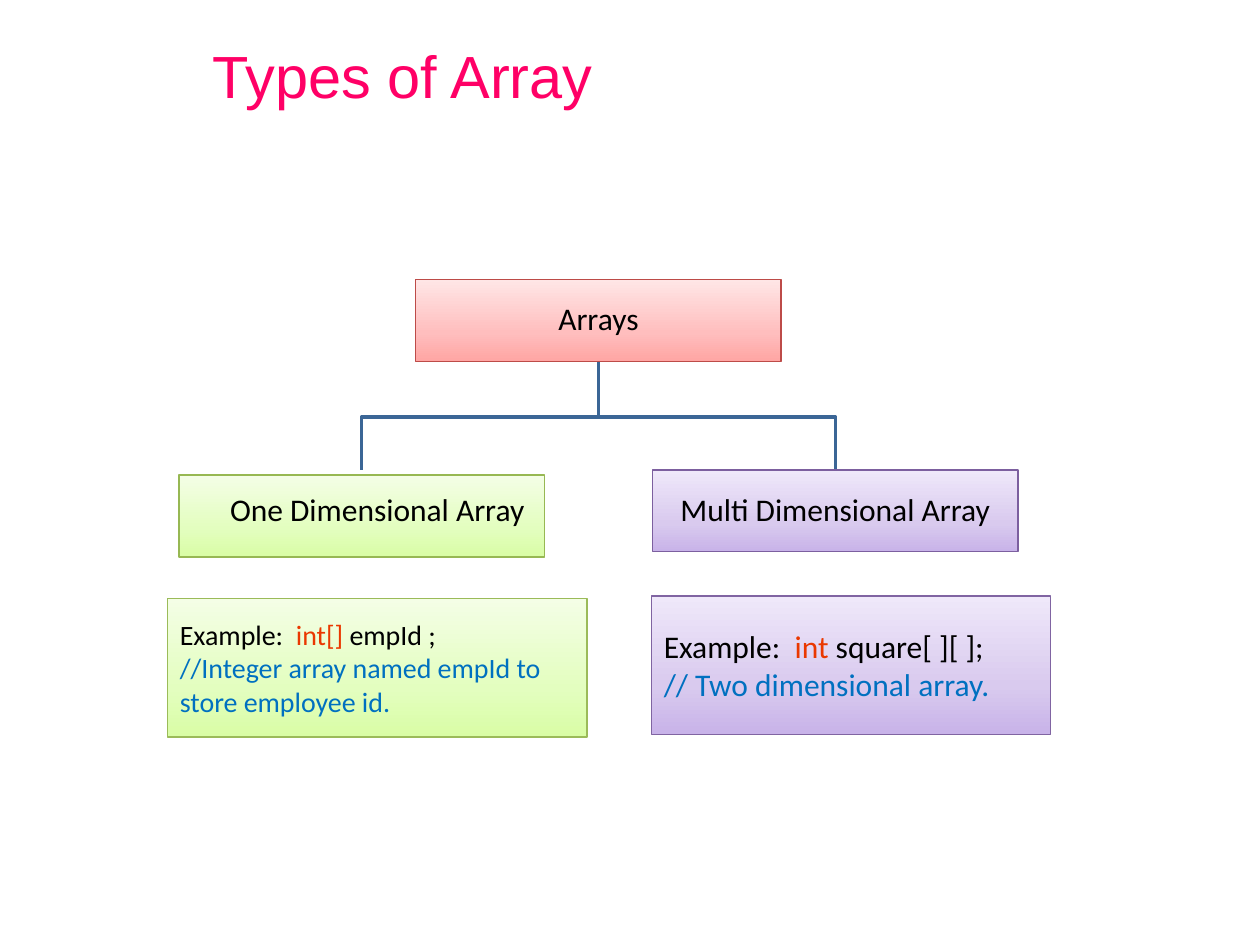
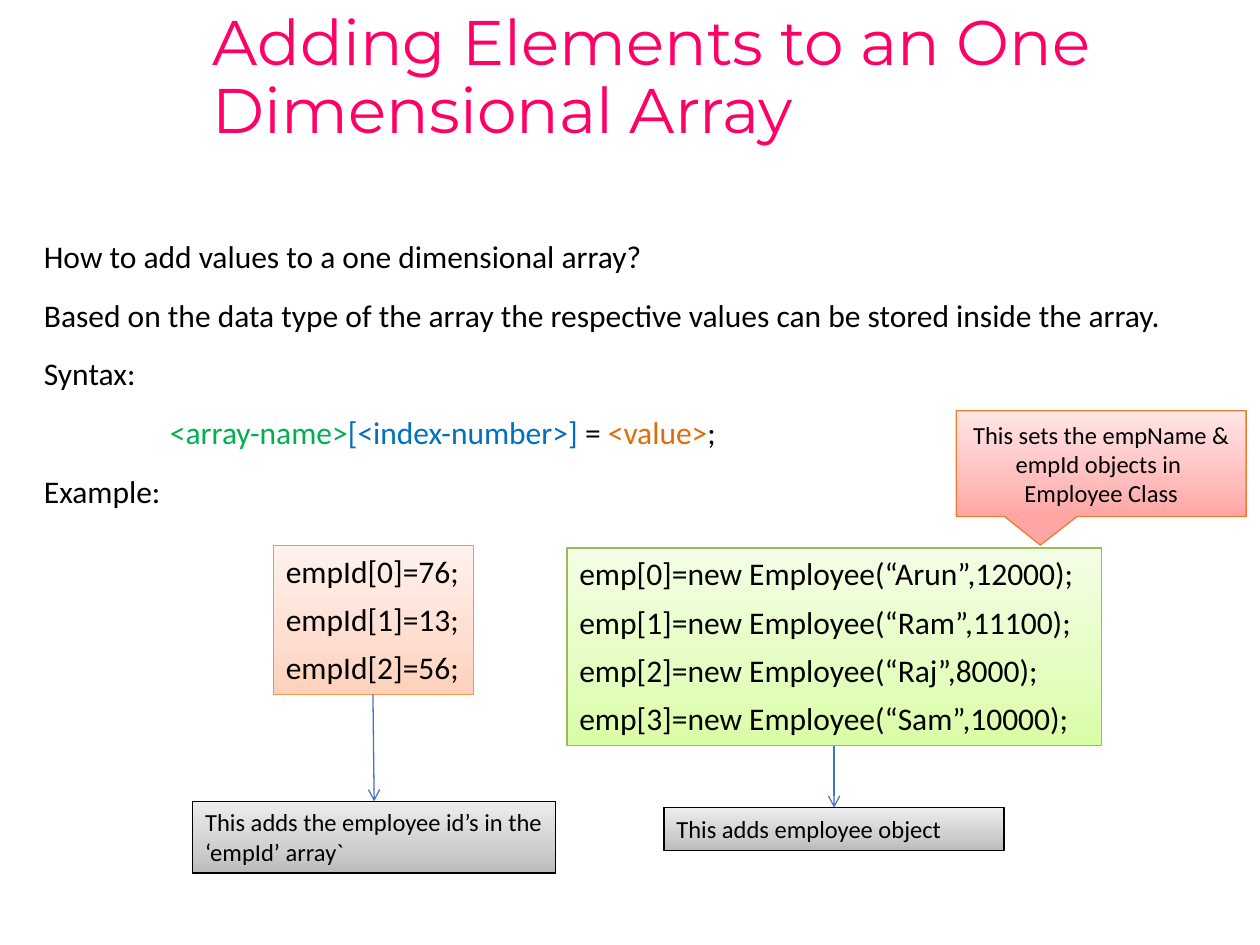
from copy import deepcopy
from collections import namedtuple

from lxml.etree import SubElement
from pptx import Presentation
from pptx.dml.color import RGBColor as RGB
from pptx.enum.shapes import MSO_CONNECTOR as Connector, MSO_SHAPE as Preset
from pptx.enum.text import MSO_ANCHOR as Anchor, MSO_AUTO_SIZE as AutoSize, PP_ALIGN as Align
from pptx.oxml.ns import qn
from pptx.util import Inches, Pt

# Slide grid: 100 columns by 75 rows
WIDTH, HEIGHT = Inches(10), Inches(7.5)
COLUMN, ROW = WIDTH / 100, HEIGHT / 75
TITLE_ONLY = 5

# Text and line colours
PINK = RGB(0xFF, 0x00, 0x66)
BLACK = RGB(0x00, 0x00, 0x00)
KEYWORD_RED = RGB(0xEA, 0x38, 0x00)
COMMENT_BLUE = RGB(0x00, 0x70, 0xC0)
NAME_GREEN = RGB(0x00, 0xB0, 0x50)
VALUE_ORANGE = RGB(0xE3, 0x6C, 0x09)
TREE_BLUE = RGB(0x3B, 0x66, 0x96)
ARROW_BLUE = RGB(0x44, 0x72, 0xC4)
RED_EDGE = RGB(0xBD, 0x4B, 0x48)
GREEN_EDGE = RGB(0x97, 0xB8, 0x53)
LIGHT_GREEN_EDGE = RGB(0x9B, 0xBB, 0x59)
PURPLE_EDGE = RGB(0x7C, 0x5F, 0x9F)
LIGHT_PURPLE_EDGE = RGB(0x80, 0x64, 0xA2)
PEACH_EDGE = RGB(0xF7, 0x96, 0x46)
CALLOUT_EDGE = RGB(0xED, 0x7D, 0x31)

# Gradients, from the bottom up
GRADIENT_POSITIONS = (0, 0.35, 1)
RED = (RGB(0xFF, 0xA5, 0xA3), RGB(0xFF, 0xBE, 0xBE), RGB(0xFF, 0xE6, 0xE6))
GREEN = (RGB(0xD9, 0xFD, 0xA5), RGB(0xE3, 0xFE, 0xBF), RGB(0xF4, 0xFE, 0xE6))
PURPLE = (RGB(0xC8, 0xB3, 0xE9), RGB(0xD9, 0xCA, 0xEE), RGB(0xEF, 0xE8, 0xFA))
PEACH = (RGB(0xFF, 0xD1, 0xBB), RGB(0xFF, 0xDD, 0xCF), RGB(0xFF, 0xF2, 0xED))
GREY = (RGB(0xBB, 0xBB, 0xBB), RGB(0xCF, 0xCF, 0xCF), RGB(0xED, 0xED, 0xED))

LINE_BREAK = "\v"
Box = namedtuple("Box", "left top width height")  # in columns and rows


def within(region, left, top, width, height):
    return Box(region.left + left, region.top + top, width, height)


def point(column, row):
    return round(column * COLUMN), round(row * ROW)


def emu(box):
    return (*point(box.left, box.top), *point(box.width, box.height))


def write(frame, paragraphs, size, align=Align.LEFT, before=0, spacing=1.0):
    """Each paragraph is a list of plain strings or (string, colour) pairs."""
    for index, pieces in enumerate(paragraphs):
        paragraph = frame.paragraphs[0] if index == 0 else frame.add_paragraph()
        paragraph.alignment = align
        paragraph.space_before = Pt(before)
        paragraph.line_spacing = spacing
        for piece in pieces:
            if piece == LINE_BREAK:
                paragraph.add_line_break()
                continue
            words, color = piece if isinstance(piece, tuple) else (piece, BLACK)
            run = paragraph.add_run()
            run.text = words
            run.font.name, run.font.size = "Calibri", Pt(size)
            run.font.color.rgb = color


def panel(slide, box, gradient, edge, anchor=Anchor.MIDDLE, wrap=True, preset=Preset.RECTANGLE):
    """A gradient box with a thin edge."""
    shape = slide.shapes.add_shape(preset, *emu(box))
    shape.shadow.inherit = False
    shape.fill.gradient()
    shape.fill.gradient_angle = 90
    stop_list = shape._element.spPr.find(qn("a:gradFill")).find(qn("a:gsLst"))
    stop_list.append(deepcopy(stop_list[0]))
    for stop, color, position in zip(shape.fill.gradient_stops, gradient, GRADIENT_POSITIONS):
        stop.color.rgb, stop.position = color, position
    shape.line.color.rgb, shape.line.width = edge, Pt(0.75)
    frame = shape.text_frame
    frame.vertical_anchor, frame.word_wrap = anchor, wrap
    if anchor == Anchor.TOP:
        frame.auto_size = AutoSize.SHAPE_TO_FIT_TEXT
    return shape


def arrow(slide, start, end):
    line = slide.shapes.add_connector(Connector.STRAIGHT, *point(*start), *point(*end))
    line.line.color.rgb, line.line.width = ARROW_BLUE, Pt(0.75)
    SubElement(line.line._get_or_add_ln(), qn("a:tailEnd"), type="arrow")
    SubElement(line._element.spPr, qn("a:effectLst"))


def titled_slide(deck, words, font, size):
    slide = deck.slides.add_slide(deck.slide_layouts[TITLE_ONLY])
    title = slide.shapes.title
    title.left, title.top, title.width, title.height = emu(Box(15.9, 0.1, 84.1, 12.4))
    frame = title.text_frame
    frame.text = words
    frame.vertical_anchor, frame.word_wrap = Anchor.MIDDLE, True
    frame.auto_size = AutoSize.NONE
    paragraph = frame.paragraphs[0]
    paragraph.alignment, paragraph.line_spacing = Align.LEFT, 0.9
    face = paragraph.runs[0].font
    face.name, face.size, face.color.rgb = font, Pt(size), PINK
    return slide


# Types slide
def type_tree(slide, region):
    """A root node over two kinds, joined by elbow lines."""
    node_width, node_height, child_top = 29, 6.5, 15.1
    center = region.width / 2
    for child_center in (region.width - node_width / 2, node_width / 2):
        route = [(center, node_height), (center, 10.9), (child_center, 10.9), (child_center, child_top)]
        corners = [point(region.left + x, region.top + y) for x, y in route]
        builder = slide.shapes.build_freeform(*corners[0])
        builder.add_line_segments(corners[1:], close=False)
        elbow = builder.convert_to_shape()
        elbow.shadow.inherit = False
        elbow.fill.background()
        elbow.line.color.rgb, elbow.line.width = TREE_BLUE, Pt(2)

    nodes = (
        ("Arrays", center - node_width / 2, 0, RED, RED_EDGE, 0.01, 0.01),
        ("One Dimensional Array", 0, child_top + 0.4, GREEN, GREEN_EDGE, 0.26, 0.09),
        ("Multi Dimensional Array", region.width - node_width, child_top, PURPLE, PURPLE_EDGE, 0.01, 0.01),
    )
    for words, left, top, gradient, edge, left_inset, bottom_inset in nodes:
        node = panel(slide, within(region, left, top, node_width, node_height), gradient, edge)
        frame = node.text_frame
        frame.margin_left, frame.margin_bottom = Inches(left_inset), Inches(bottom_inset)
        frame.margin_right = frame.margin_top = Inches(0.01)
        write(frame, [[words]], 18, Align.CENTER, spacing=0.9)


def declaration_examples(slide, region):
    one_dimensional = panel(slide, within(region, 0, 0.2, 33.3, 11), GREEN, LIGHT_GREEN_EDGE)
    write(one_dimensional.text_frame, [
        ["Example:  ", ("int[] ", KEYWORD_RED), "empId ;"],
        [("//Integer array named empId to store employee id.", COMMENT_BLUE)],
    ], 16)
    two_dimensional = panel(slide, within(region, 38.4, 0, 31.7, 11), PURPLE, LIGHT_PURPLE_EDGE)
    write(two_dimensional.text_frame, [
        ["Example:  ", ("int", KEYWORD_RED), " square[ ][ ];"],
        [("// Two dimensional array.", COMMENT_BLUE)],
    ], 18)


# Adding elements slide
def explanation(slide, region):
    frame = slide.shapes.add_textbox(*emu(region)).text_frame
    frame.word_wrap = True
    write(frame, [
        ["How to add values to a one dimensional array?"],
        ["Based on the data type of the array the respective values can be stored inside the array."],
        ["Syntax:"],
        [("<array-name>", NAME_GREEN), ("[<index-number>] ", COMMENT_BLUE), "= ",
         ("<value>", VALUE_ORANGE), ";"],
        ["Example:"],
    ], 18, before=12)
    syntax = frame.paragraphs[3]
    syntax.level = 2
    indent = syntax._p.get_or_add_pPr()
    indent.set("marL", str(Inches(1)))
    indent.set("indent", "0")


def assignment_example(slide, code_box, note_box, gradient, edge, code, note, arrow_columns):
    """Code lines, an arrow and the note it leads to."""
    code_panel = panel(slide, code_box, gradient, edge, Anchor.TOP, wrap=False)
    write(code_panel.text_frame, [[line] for line in code], 18, before=6)
    note_panel = panel(slide, note_box, GREY, BLACK, Anchor.TOP)
    write(note_panel.text_frame, [[note]], 14)
    start, end = arrow_columns
    arrow(slide, (start, code_box.top + code_box.height), (end, note_box.top))


def callout(slide, region):
    bubble = panel(slide, region, RED, CALLOUT_EDGE, preset=Preset.RECTANGULAR_CALLOUT)
    bubble.adjustments[0], bubble.adjustments[1] = -0.21, 0.77
    write(bubble.text_frame,
          [["This sets the empName & empId objects in ", LINE_BREAK, "Employee Class"]],
          14, Align.CENTER)


def types_slide(deck):
    slide = titled_slide(deck, "Types of Array", "Arial", 34)
    type_tree(slide, Box(14.2, 22.2, 66.6, 22))
    declaration_examples(slide, Box(13.3, 47.3, 70.1, 11.2))


def adding_slide(deck):
    slide = titled_slide(deck, "Adding Elements to an One Dimensional Array", "Montserrat", 36)
    explanation(slide, Box(2.5, 18.3, 94.2, 30.6))
    ids = [f"empId[{i}]={value};" for i, value in enumerate((76, 13, 56))]
    assignment_example(slide, Box(21.7, 43.3, 15.9, 11.8), Box(15.3, 63.6, 28.8, 5.7),
                       PEACH, PEACH_EDGE, ids,
                       "This adds the employee id’s in the ‘empId’ array`", (29.6, 29.7))
    staff = (("Arun", 12000), ("Ram", 11100), ("Raj", 8000), ("Sam", 10000))
    employees = [f"emp[{i}]=new Employee(“{name}”,{pay});" for i, (name, pay) in enumerate(staff)]
    assignment_example(slide, Box(45, 43.5, 42.4, 15.7), Box(52.7, 64.1, 27, 3.4),
                       GREEN, LIGHT_GREEN_EDGE, employees,
                       "This adds employee object", (66.2, 66.2))
    callout(slide, Box(75.9, 32.6, 23, 8.4))


deck = Presentation()
deck.slide_width, deck.slide_height = WIDTH, HEIGHT
types_slide(deck)
adding_slide(deck)
deck.save("out.pptx")
